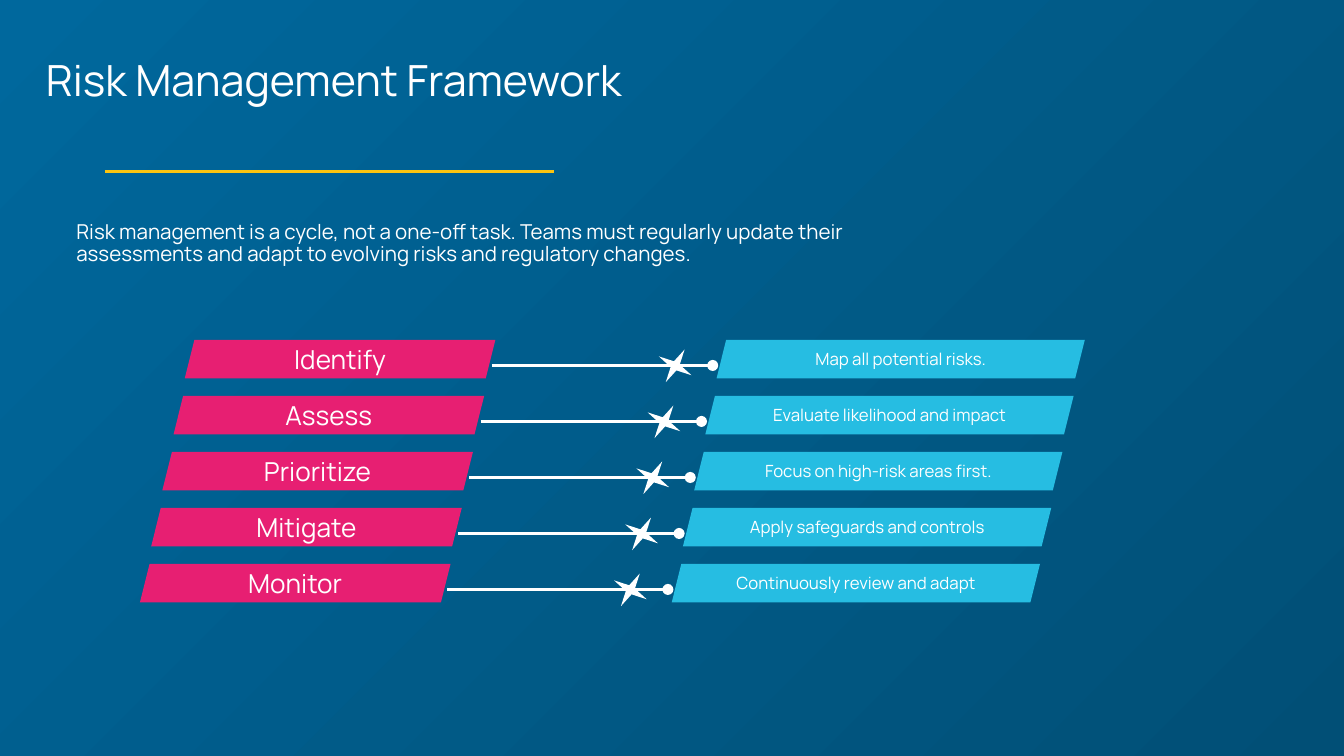
from typing import NamedTuple

import pptx
import pptx.dml.color
import pptx.enum.shapes
import pptx.enum.text
import pptx.oxml
import pptx.oxml.ns
import pptx.util

Pt = pptx.util.Pt
Kind = pptx.enum.shapes.MSO_SHAPE
Align = pptx.enum.text.PP_ALIGN
Anchor = pptx.enum.text.MSO_ANCHOR

FONT = "Manrope"
WHITE, PINK, CYAN, GOLD = "FFFFFF", "E71F72", "26BDE2", "FBC410"
TOP, PITCH, SHIFT = 182.1, 30, 6
INSET = 7.2


class Step(NamedTuple):
    name: str
    note: str


class Box(NamedTuple):
    left: float
    top: float
    width: float
    height: float


STEPS = [
    Step("Identify", "Map all potential risks."),
    Step("Assess", "Evaluate likelihood and impact"),
    Step("Prioritize", "Focus on high-risk areas first."),
    Step("Mitigate", "Apply safeguards and controls"),
    Step("Monitor", "Continuously review and adapt"),
]


def color(code: str) -> pptx.dml.color.RGBColor:
    return pptx.dml.color.RGBColor.from_string(code)


def write(shape, text: str, size: float, align, anchor) -> None:
    frame = shape.text_frame
    frame.text = text
    frame.word_wrap = True
    frame.vertical_anchor = anchor
    frame.margin_left = frame.margin_right = Pt(INSET)
    frame.margin_top = frame.margin_bottom = Pt(INSET)
    para = frame.paragraphs[0]
    para.alignment = align
    font = para.runs[0].font
    font.name, font.size = FONT, Pt(size)
    font.color.rgb = color(WHITE)


def label(slide, box: Box, text: str, size: float, align) -> None:
    """Add a text box with slightly tightened lines."""
    shape = slide.shapes.add_textbox(*map(Pt, box))
    write(shape, text, size, align, Anchor.TOP)
    shape.text_frame.paragraphs[0].line_spacing = 0.9


def solid(slide, kind, box: Box, fill: str, adjust: float):
    shape = slide.shapes.add_shape(kind, *map(Pt, box))
    shape.shadow.inherit = False
    shape.adjustments[0] = adjust
    shape.fill.solid()
    shape.fill.fore_color.rgb = color(fill)
    shape.line.fill.background()
    return shape


def rule(slide, start: float, end: float, y: float, code: str,
         dot: bool = False) -> None:
    """Draw a level line, with a round end if dot is set."""
    line = slide.shapes.add_connector(
        pptx.enum.shapes.MSO_CONNECTOR.STRAIGHT,
        Pt(start), Pt(y), Pt(end), Pt(y))
    line.line.width = Pt(1.5)
    line.line.color.rgb = color(code)
    props = line.element.spPr
    if dot:
        tail = pptx.oxml.parse_xml(
            f'<a:tailEnd {pptx.oxml.ns.nsdecls("a")} type="oval"/>')
        props.find(pptx.oxml.ns.qn("a:ln")).append(tail)
    props.append(pptx.oxml.parse_xml(
        f'<a:effectLst {pptx.oxml.ns.nsdecls("a")}/>'))


def band(slide, box: Box, fill: str, text: str, size: float) -> None:
    shape = solid(slide, Kind.PARALLELOGRAM, box, fill, 0.25)
    write(shape, text, size, Align.CENTER, Anchor.MIDDLE)


def row(slide, step: Step, index: int) -> None:
    x, y = -SHIFT * index, TOP + PITCH * index
    band(slide, Box(x + 99, y, 166.4, 20.6), PINK, step.name, 14)
    rule(slide, x + 263.5, x + 381.8, y + 13.7, WHITE, dot=True)
    band(slide, Box(x + 383.9, y, 197.3, 20.6), CYAN, step.note, 9)
    star = solid(slide, Kind.STAR_4_POINT,
                 Box(x + 351.6, y + 3.8, 20.2, 20.2), WHITE, 0.125)
    star.rotation = 30


def main() -> None:
    deck = pptx.Presentation()
    deck.slide_width, deck.slide_height = Pt(720), Pt(405)
    slide = deck.slides.add_slide(deck.slide_layouts[6])

    back = slide.background.fill
    back.gradient()
    back.gradient_angle = 315
    for stop, code in zip(back.gradient_stops, ("00689D", "014F76")):
        stop.color.rgb = color(code)

    label(slide, Box(2.2, 24.5, 353.5, 70.6),
          "Risk Management Framework", 23, Align.CENTER)
    rule(slide, 56.2, 296.7, 91.9, GOLD)
    for index, step in enumerate(STEPS):
        row(slide, step, index)
    label(slide, Box(33.8, 111.6, 457.2, 41),
          "Risk management is a cycle, not a one-off task. Teams must "
          "regularly update their assessments and adapt to evolving risks "
          "and regulatory changes.", 11, Align.LEFT)
    deck.save("out.pptx")


if __name__ == "__main__":
    main()
